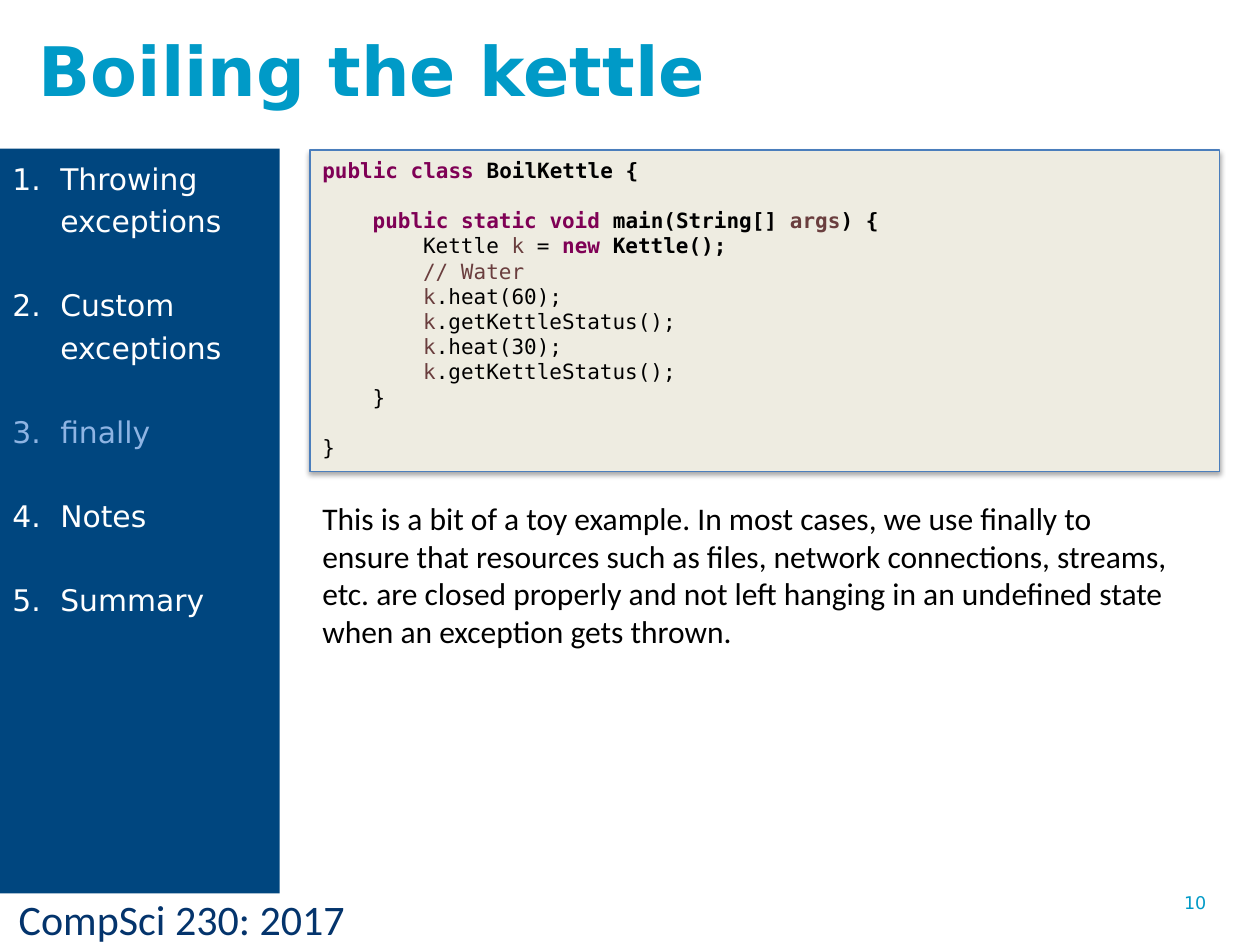
"""Build the slide on boiling the kettle, with its code panel and topic bar."""
from dataclasses import dataclass
from typing import NamedTuple

from lxml import etree
from pptx import Presentation
from pptx import util as u
from pptx.dml import color
from pptx.enum import shapes, text
from pptx.oxml import ns

SANS, MONO, BODY = "DejaVu Sans", "DejaVu Sans Mono", "Calibri"
BLACK, WHITE, CYAN, NAVY = "000000", "FFFFFF", "009AC7", "00467F"
PLUM, BROWN, PALE = "7F0055", "6A3E3E", "8EB4E3"
PITCH = u.Pt(14.4)


@dataclass
class Label:
    words: str
    box: tuple[float, float, float, float]
    face: str
    size: float
    ink: str
    bold: bool = False
    low: bool = False


class Bit(NamedTuple):
    words: str
    ink: str = BLACK
    bold: bool = False


class Line(NamedTuple):
    depth: int
    bits: list[Bit]
    gap: bool = False


class Topic(NamedTuple):
    words: str
    ink: str = WHITE


def call(rest: str) -> Line:
    """Return a code line that calls a method on k."""
    return Line(2, [Bit("k", BROWN), Bit(rest)])


LABELS = [
    Label("CompSci 230: 2017", (0.05, 7.04, 4.05, 0.5), BODY, 24, "04346C"),
    Label("10", (9.3, 7.03, 0.7, 0.52), SANS, 10, CYAN),
    Label("Boiling the kettle", (0.21, 0.14, 7.13, 0.78), SANS, 39, CYAN, True, True),
    Label("This is a bit of a toy example. In most cases, we use finally to ensure "
          "that resources such as files, network connections, streams, etc. are "
          "closed properly and not left hanging in an undefined state when an "
          "exception gets thrown.", (2.46, 3.91, 7.03, 1.31), BODY, 18, BLACK),
]
CODE = [
    Line(0, [Bit("public class ", PLUM, True), Bit("BoilKettle {", BLACK, True)], True),
    Line(1, [Bit("public static void", PLUM, True), Bit(" main(String[] ", BLACK, True),
             Bit("args", BROWN, True), Bit(") {", BLACK, True)]),
    Line(2, [Bit("Kettle "), Bit("k", BROWN), Bit(" = "),
             Bit("new", PLUM, True), Bit(" Kettle();", BLACK, True)]),
    Line(2, [Bit("// Water", BROWN)]),
    call(".heat(60);"),
    call(".getKettleStatus();"),
    call(".heat(30);"),
    call(".getKettleStatus();"),
    Line(1, [Bit("}")], True),
    Line(0, [Bit("}")]),
]
TOPICS = [Topic("Throwing exceptions"), Topic("Custom exceptions"),
          Topic("finally", PALE), Topic("Notes"), Topic("Summary")]


def tint(part, code: str) -> None:
    """Give a font or a fill one solid colour."""
    fill = part.fill if hasattr(part, "fill") else part
    fill.solid()
    fill.fore_color.rgb = color.RGBColor.from_string(code)


def style(font, face: str, size: float) -> None:
    """Set the face and size of a font."""
    font.name, font.size = face, u.Pt(size)


def frame(slide, box: tuple[float, float, float, float]):
    """Add a wrapping text box and return its text frame."""
    body = slide.shapes.add_textbox(*map(u.Inches, box)).text_frame
    body.word_wrap = True
    return body


def panel(slide, box: tuple[float, float, float, float], code: str):
    """Add a plain filled rectangle."""
    rect = slide.shapes.add_shape(shapes.MSO_SHAPE.RECTANGLE, *map(u.Inches, box))
    rect.shadow.inherit = False
    tint(rect.fill, code)
    rect.line.fill.background()
    return rect


def shade(rect) -> None:
    """Give a rectangle a soft shadow that falls straight down."""
    glow = rect.element.spPr.find(ns.qn("a:effectLst"))
    drop = etree.SubElement(glow, ns.qn("a:outerShdw"), blurRad=str(u.Pt(3.1)),
                            dist=str(u.Pt(1.8)), dir="5400000", rotWithShape="0")
    ink = etree.SubElement(drop, ns.qn("a:srgbClr"), val=BLACK)
    etree.SubElement(ink, ns.qn("a:alpha"), val="35000")


def rows(body, items: list):
    """Yield each item with a paragraph of its own."""
    for spot, item in enumerate(items):
        yield item, body.add_paragraph() if spot else body.paragraphs[0]


def draw_label(slide, label: Label) -> None:
    """Draw a text box in a single style."""
    body = frame(slide, label.box)
    if label.low:
        body.vertical_anchor = text.MSO_ANCHOR.BOTTOM
    para = body.paragraphs[0]
    para.text = label.words
    style(para.font, label.face, label.size)
    para.font.bold = label.bold
    tint(para.font, label.ink)


def draw_code(slide, lines: list[Line]) -> None:
    """Draw the code panel and the code on it."""
    rect = panel(slide, (2.46, 1.19, 7.22, 2.55), "EEECE1")
    tint(rect.line, "4B7EBC")
    rect.line.width = u.Pt(0.75)
    shade(rect)
    for line, para in rows(frame(slide, (2.46, 1.2, 7.29, 2.4)), lines):
        para.line_spacing = PITCH
        para.space_after = PITCH if line.gap else u.Pt(0)
        para._p.get_or_add_pPr().set("marL", str(u.Inches(0.4 * line.depth)))
        style(para.font, MONO, 12)
        for bit in line.bits:
            run = para.add_run()
            run.text, run.font.bold = bit.words, bit.bold
            tint(run.font, bit.ink)


def draw_topics(slide, topics: list[Topic]) -> None:
    """Draw the side bar with its numbered topics."""
    body = panel(slide, (0, 1.18, 2.22, 5.91), NAVY).text_frame
    body.word_wrap = True
    body.vertical_anchor = text.MSO_ANCHOR.TOP
    for topic, para in rows(body, topics):
        para.text = topic.words
        para.alignment = text.PP_ALIGN.LEFT
        para.line_spacing = para.space_after = u.Pt(24)
        props = para._p.get_or_add_pPr()
        props.set("marL", str(u.Inches(0.38)))
        props.set("indent", str(u.Inches(-0.38)))
        etree.SubElement(props, ns.qn("a:buFont"), typeface="+mj-lt")
        etree.SubElement(props, ns.qn("a:buAutoNum"), type="arabicPeriod")
        style(para.font, SANS, 17)
        tint(para.font, topic.ink)


def main() -> None:
    """Build and save the deck."""
    deck = Presentation()
    deck.slide_width, deck.slide_height = u.Inches(10), u.Inches(7.5)
    slide = deck.slides.add_slide(deck.slide_layouts[6])
    draw_code(slide, CODE)
    draw_topics(slide, TOPICS)
    for label in LABELS:
        draw_label(slide, label)
    deck.save("out.pptx")


if __name__ == "__main__":
    main()
